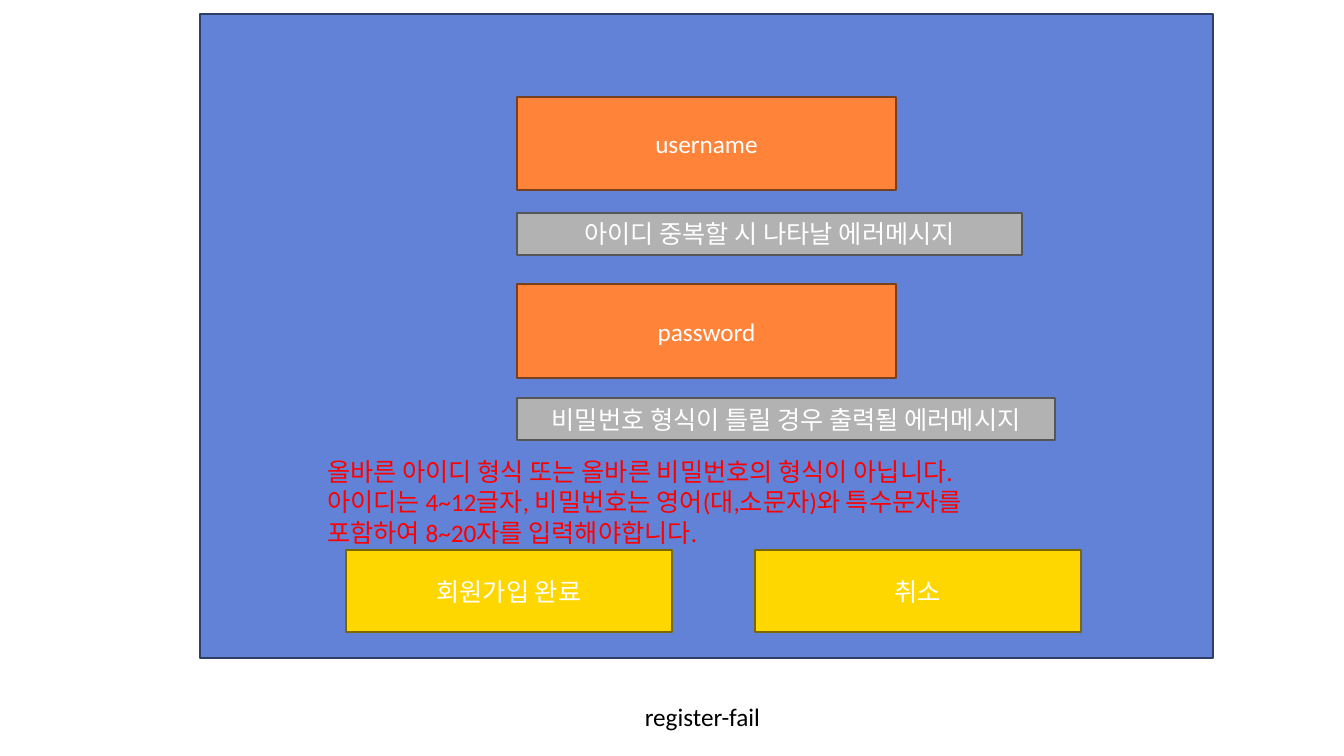
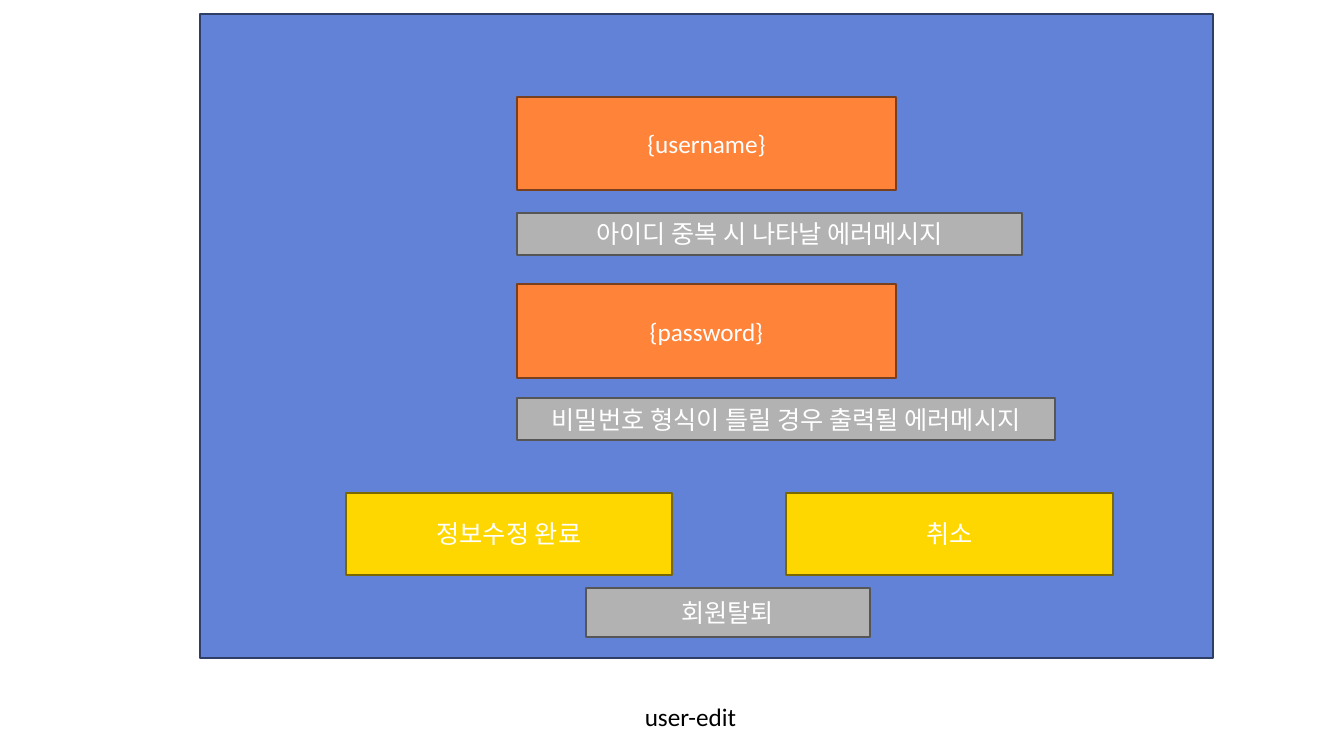
from dataclasses import dataclass

from pptx import Presentation
from pptx.dml.color import RGBColor
from pptx.enum.shapes import MSO_SHAPE
from pptx.enum.text import MSO_ANCHOR, PP_ALIGN
from pptx.util import Cm, Pt


@dataclass(frozen=True)
class Theme:
    font: str = "Calibri"
    size: float = 18
    line_width: float = 1.5
    white: str = "FFFFFF"
    black: str = "000000"
    error: str = "FF0000"
    # Each pair is fill and outline
    panel: tuple = ("6182D6", "2E3E67")
    field: tuple = ("FF843A", "7A3F1C")
    message: tuple = ("B2B2B2", "565656")
    button: tuple = ("FFD700", "7A6700")


THEME = Theme()

# Form layout in centimetres
FORM_LEFT = 13.03
FIELD_TOP, FIELD_STEP = 2.44, 4.72
FIELD_WIDTH, FIELD_HEIGHT = 9.55, 2.36
MESSAGE_HEIGHT = 1.07
BUTTON_LEFT, BUTTON_WIDTH, BUTTON_HEIGHT = 8.71, 8.23, 2.06
PASSWORD_MESSAGE = "비밀번호 형식이 틀릴 경우 출력될 에러메시지"


def write_text(frame, text, color, align):
    frame.word_wrap = True
    para = frame.paragraphs[0]
    para.alignment = align
    span = para.add_run()
    span.text = text
    span.font.name = THEME.font
    span.font.size = Pt(THEME.size)
    span.font.color.rgb = RGBColor.from_string(color)


def add_box(page, left, top, width, height, colors, text=""):
    box = page.shapes.add_shape(
        MSO_SHAPE.RECTANGLE, Cm(left), Cm(top), Cm(width), Cm(height))
    fill, outline = colors
    box.shadow.inherit = False
    box.fill.solid()
    box.fill.fore_color.rgb = RGBColor.from_string(fill)
    box.line.color.rgb = RGBColor.from_string(outline)
    box.line.width = Pt(THEME.line_width)
    if text:
        box.text_frame.vertical_anchor = MSO_ANCHOR.MIDDLE
        write_text(box.text_frame, text, THEME.white, PP_ALIGN.CENTER)


def add_label(page, left, top, width, height, text, color):
    box = page.shapes.add_textbox(Cm(left), Cm(top), Cm(width), Cm(height))
    write_text(box.text_frame, text, color, PP_ALIGN.LEFT)


def add_form(deck, caption, fields, messages):
    """Add a page with the panel, its input fields and the caption."""
    page = deck.slides.add_slide(deck.slide_layouts[6])
    add_box(page, 5.03, 0.36, 25.53, 16.23, THEME.panel)
    for row, text in enumerate(fields):
        add_box(page, FORM_LEFT, FIELD_TOP + row * FIELD_STEP,
                FIELD_WIDTH, FIELD_HEIGHT, THEME.field, text)
    for text, top, width in zip(messages, (5.36, 10.03), (12.73, 13.56)):
        add_box(page, FORM_LEFT, top, width, MESSAGE_HEIGHT,
                THEME.message, text)
    add_label(page, 16, 17.55, 7, 1, caption, THEME.black)
    return page


def add_buttons(page, top, gap, labels):
    for column, text in enumerate(labels):
        add_box(page, BUTTON_LEFT + column * (BUTTON_WIDTH + gap), top,
                BUTTON_WIDTH, BUTTON_HEIGHT, THEME.button, text)


def main():
    deck = Presentation()
    deck.slide_width, deck.slide_height = Cm(33.87), Cm(19.05)

    # Failed registration
    page = add_form(deck, "register-fail", ("username", "password"),
                    ("아이디 중복할 시 나타날 에러메시지", PASSWORD_MESSAGE))
    add_buttons(page, 13.87, 2.08, ("회원가입 완료", "취소"))
    add_label(page, 8, 11.38, 18.59, 2.51,
              "올바른 아이디 형식 또는 올바른 비밀번호의 형식이 아닙니다. "
              "아이디는 4~12글자, 비밀번호는 영어(대,소문자)와 특수문자를 "
              "포함하여 8~20자를 입력해야합니다.", THEME.error)

    # User details
    page = add_form(deck, "user-edit", ("{username}", "{password}"),
                    ("아이디 중복 시 나타날 에러메시지", PASSWORD_MESSAGE))
    add_buttons(page, 12.42, 2.87, ("정보수정 완료", "취소"))
    add_box(page, 14.76, 14.81, 7.16, 1.24, THEME.message, "회원탈퇴")

    deck.save("out.pptx")


if __name__ == "__main__":
    main()
